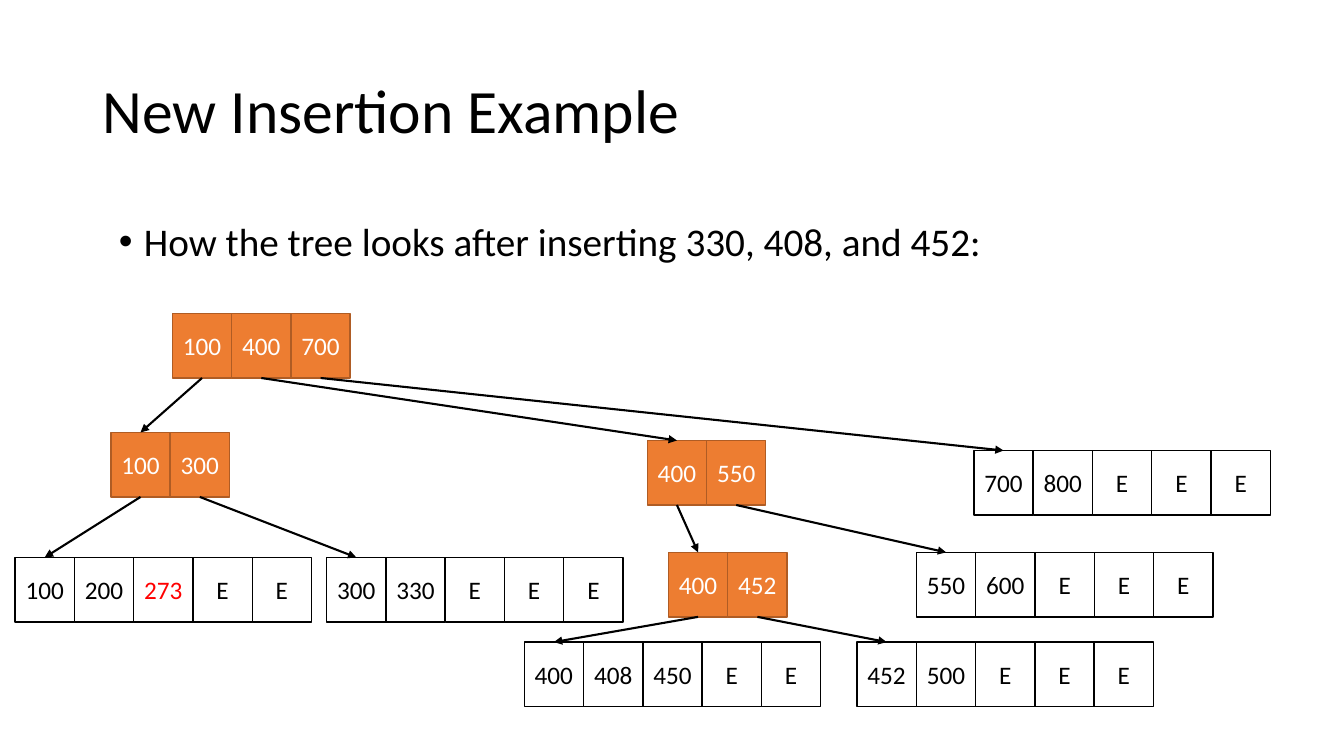
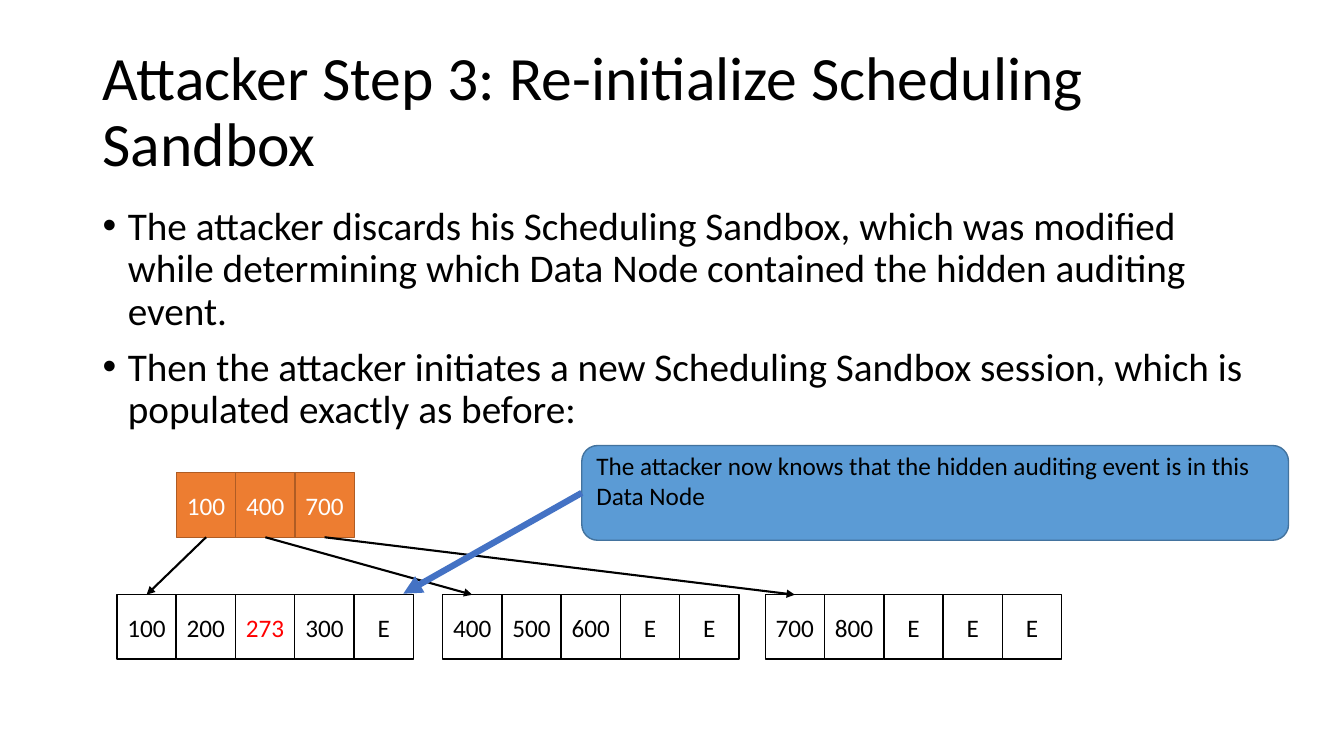
from lxml import etree
from pptx import Presentation
from pptx.dml.color import RGBColor
from pptx.enum import shapes, text
from pptx.oxml import ns
from pptx.util import Inches, Pt

FONT = "Calibri"
BLACK, WHITE, RED = "000000", "FFFFFF", "FF0000"
ORANGE, DARK_ORANGE = "ED7D31", "AF5C24"
BLUE, DARK_BLUE, ARROW_BLUE = "5B9BD5", "43739E", "4472C4"
CELL_W, CELL_H = 2.94 / 5, 0.64
HIDDEN_EVENT = "273"


def rgb(value):
    return RGBColor.from_string(value)


def sub(parent, tag, **attrs):
    return etree.SubElement(parent, ns.qn(tag), attrs)


def style_text(p, size, color):
    for r in p.runs:
        r.font.name = FONT
        r.font.size = Pt(size)
        r.font.color.rgb = rgb(color)


def add_box(parent, kind, box, fill, line):
    sp = parent.add_shape(kind, *map(Inches, box))
    sp.shadow.inherit = False
    sp.fill.solid()
    sp.fill.fore_color.rgb = rgb(fill)
    sp.line.color.rgb = rgb(line)
    sp.line.width = Pt(1)
    return sp


def add_text(s, box, lines, size):
    tf = s.shapes.add_textbox(*map(Inches, box)).text_frame
    tf.word_wrap = True
    tf.text = "\n".join(lines)
    for p in tf.paragraphs:
        p.line_spacing = 0.9
        style_text(p, size, BLACK)
    return tf


def add_title(s, title):
    tf = add_text(s, (0.92, 0.4, 11.5, 1.45), [title], 44)
    tf.vertical_anchor = text.MSO_ANCHOR.MIDDLE


def add_bullets(s, left, top, lines):
    tf = add_text(s, (left, top, 11.5, 4.76), lines, 28)
    for p in tf.paragraphs:
        p.space_before = Pt(10)
        pPr = p._p.get_or_add_pPr()
        pPr.set("marL", str(Inches(0.25)))
        pPr.set("indent", str(-Inches(0.25)))
        sub(pPr, "a:buFont", typeface="Arial")
        sub(pPr, "a:buChar", char="•")


def add_node(s, left, top, keys, index=False):
    """Draw a row of key cells; index nodes are orange, data nodes white."""
    fill, line, color = (ORANGE, DARK_ORANGE, WHITE) if index else (WHITE, BLACK, BLACK)
    group = s.shapes.add_group_shape()
    cells = []
    for i, key in enumerate(keys.split()):
        box = (left + i * CELL_W, top, CELL_W, CELL_H)
        sp = add_box(group.shapes, shapes.MSO_SHAPE.RECTANGLE, box, fill, line)
        tf = sp.text_frame
        tf.margin_left = tf.margin_right = 0
        tf.vertical_anchor = text.MSO_ANCHOR.MIDDLE
        tf.text = key
        p = tf.paragraphs[0]
        p.alignment = text.PP_ALIGN.CENTER
        style_text(p, 18, RED if key == HIDDEN_EVENT else color)
        cells.append(sp)
    return cells


def add_arrow(s, start, side, end=(0, 0), color=BLACK, width=1.5):
    cxn = s.shapes.add_connector(shapes.MSO_CONNECTOR.STRAIGHT, 0, 0, *map(Inches, end))
    cxn.begin_connect(start, side)
    cxn.line.color.rgb = rgb(color)
    cxn.line.width = Pt(width)
    sub(cxn.line._get_or_add_ln(), "a:tailEnd", type="triangle")
    sub(cxn._element.spPr, "a:effectLst")
    return cxn


def link_children(s, parent, children):
    """Point each parent cell at the first cell of its child node."""
    for cell, child in zip(parent, children):
        add_arrow(s, cell, 2).end_connect(child[0], 0)


def add_callout(s, box, message, target):
    sp = add_box(s.shapes, shapes.MSO_SHAPE.ROUNDED_RECTANGLE, box, BLUE, DARK_BLUE)
    tf = sp.text_frame
    tf.margin_top = 0
    tf.vertical_anchor = text.MSO_ANCHOR.TOP
    tf.text = message
    p = tf.paragraphs[0]
    p.alignment = text.PP_ALIGN.LEFT
    style_text(p, 18, BLACK)
    add_arrow(s, sp, 1, target, ARROW_BLUE, 4.5)


def insertion_slide(s):
    add_title(s, "New Insertion Example")
    add_bullets(s, 1.08, 2.16, ["How the tree looks after inserting 330, 408, and 452:"])
    # Index nodes
    root = add_node(s, 1.71, 3.11, "100 400 700", True)
    low = add_node(s, 1.1, 4.29, "100 300", True)
    middle = add_node(s, 6.42, 4.37, "400 550", True)
    split = add_node(s, 6.63, 5.48, "400 452", True)
    # Data nodes
    high = add_node(s, 9.66, 4.47, "700 800 E E E")
    low_data = [add_node(s, 0.15, 5.53, "100 200 273 E E"),
                add_node(s, 3.24, 5.53, "300 330 E E E")]
    middle_data = add_node(s, 9.09, 5.48, "550 600 E E E")
    split_data = [add_node(s, 5.2, 6.37, "400 408 450 E E"),
                  add_node(s, 8.5, 6.37, "452 500 E E E")]
    # Links
    link_children(s, root, [low, middle, high])
    link_children(s, low, low_data)
    link_children(s, middle, [split, middle_data])
    link_children(s, split, split_data)


def attacker_slide(s):
    add_title(s, "Attacker Step 3: Re-initialize Scheduling Sandbox")
    add_bullets(s, 0.92, 2, [
        "The attacker discards his Scheduling Sandbox, which was modified while "
        "determining which Data Node contained the hidden auditing event.",
        "Then the attacker initiates a new Scheduling Sandbox session, which is "
        "populated exactly as before:"])
    # Tree
    root = add_node(s, 1.75, 4.69, "100 400 700", True)
    data = [add_node(s, left, 5.9, keys) for left, keys in (
        (1.16, "100 200 273 300 E"), (4.39, "400 500 600 E E"), (7.59, "700 800 E E E"))]
    link_children(s, root, data)
    # Finding
    add_callout(s, (5.77, 4.42, 7.01, 0.94),
                "The attacker now knows that the hidden auditing event is in this Data Node",
                (4, 5.89))


def main():
    prs = Presentation()
    prs.slide_width, prs.slide_height = Inches(13.33), Inches(7.5)
    for build in (insertion_slide, attacker_slide):
        build(prs.slides.add_slide(prs.slide_layouts[6]))
    prs.save("out.pptx")


if __name__ == "__main__":
    main()
